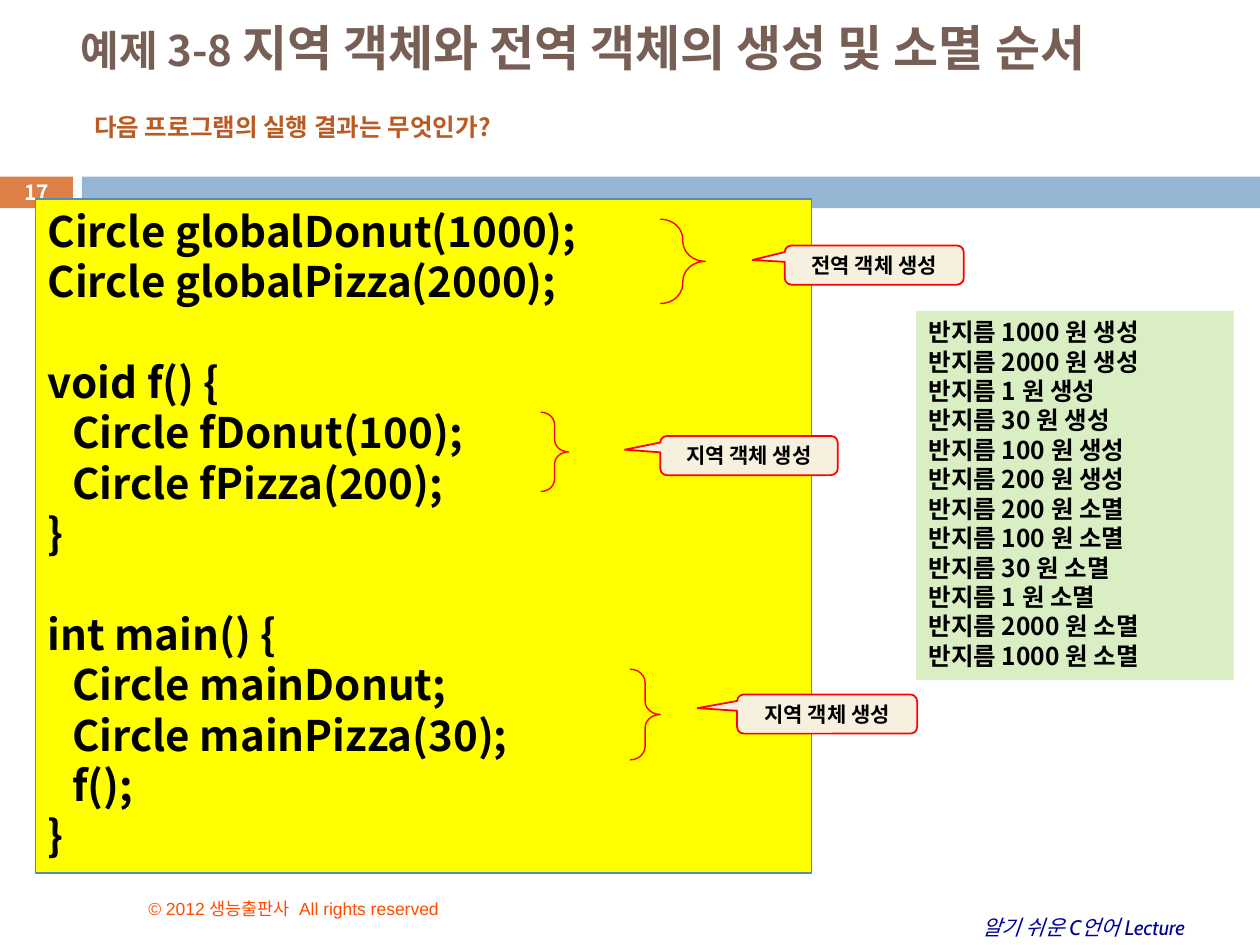
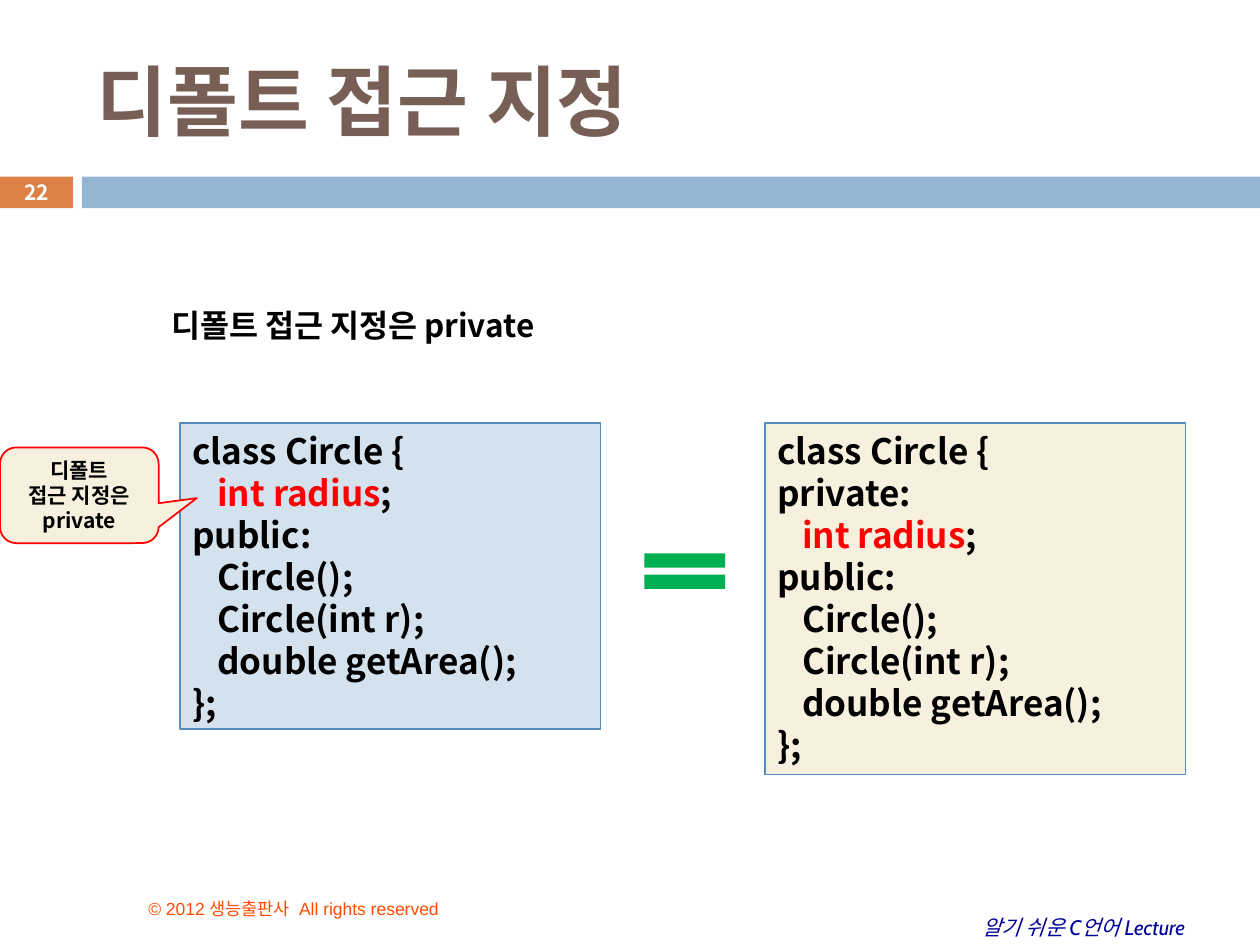
from dataclasses import dataclass

from lxml.etree import SubElement
from pptx import Presentation
from pptx.dml.color import RGBColor
from pptx.enum.shapes import MSO_SHAPE as Preset
from pptx.enum.text import MSO_ANCHOR as Anchor, MSO_AUTO_SIZE as AutoSize, PP_ALIGN as Align
from pptx.oxml.ns import qn
from pptx.util import Cm, Pt

# ---- Content (boxes are left, top, width, height in cm) ----
BOOK = "알기 쉬운 C언어 Lecture"
COPYRIGHT = "© 2012 생능출판사  All rights reserved"

ORDER = {
    "number": "17",
    "title": [("예제 3-8 ", 24), ("지역 객체와 전역 객체의 생성 및 소멸 순서", 28)],
    "title_box": (1.37, 0, 23.5, 1.88),
    "question": "다음 프로그램의 실행 결과는 무엇인가?",
    "code": [
        "Circle globalDonut(1000);",
        "Circle globalPizza(2000);",
        "",
        "void f() {",
        "\tCircle fDonut(100);",
        "\tCircle fPizza(200);",
        "}",
        "",
        "int main() {",
        "\tCircle mainDonut;",
        "\tCircle mainPizza(30);",
        "\tf();",
        "}",
    ],
    "radii": [1000, 2000, 1, 30, 100, 200],
    # label, callout box, callout tip, brace box
    "groups": [
        ("전역 객체 생성", (15.82, 4.95, 3.61, 0.79), (-0.68, -0.13), (13.31, 4.42, 0.91, 1.7)),
        ("지역 객체 생성", (13.31, 8.79, 3.58, 0.79), (-0.7, -0.15), (10.9, 8.31, 0.56, 1.6)),
        ("지역 객체 생성", (14.86, 14, 3.63, 0.79), (-0.72, -0.15), (12.7, 13.49, 0.61, 1.83)),
    ],
}

MEMBERS = ["\tint radius;", "public:", "\tCircle();", "\tCircle(int r);", "\tdouble getArea();", "};"]
ACCESS = {
    "number": "22",
    "title": [("디폴트 접근 지정", 44)],
    "title_box": (1.7, 0.64, 22.66, 2.74),
    "rule": "디폴트 접근 지정은 private",
    "callout": ["디폴트", "접근 지정은 private"],
    "highlight": "int radius",
    "implicit": ["class Circle {", *MEMBERS],
    "explicit": ["class Circle {", "private:", *MEMBERS],
}


@dataclass(frozen=True)
class Theme:
    sans: str = "Noto Sans CJK KR"
    title: str = "775F55"
    orange: str = "DD8047"
    blue: str = "94B6D2"
    pale_blue: str = "D4E2ED"
    outline: str = "558BB8"
    cream: str = "F7F0DE"
    yellow: str = "FFFF00"
    mint: str = "DAEEC4"
    green: str = "00B050"
    red: str = "FF0000"
    white: str = "FFFFFF"
    leading: float = 1.2
    indent: float = 0.5


THEME = Theme()


def style(size, color="000000", name=THEME.sans, bold=True, italic=False):
    return {"size": Pt(size), "name": name, "bold": bold, "italic": italic, "color": color}


STYLES = {
    "book": style(12, "000099", "Cabin", bold=False, italic=True),
    "copyright": style(10, "FF4C00", "Arial", bold=False),
    "number": style(12, THEME.white),
    "question": style(14, "B95B22"),
    "results": style(14),
    "label": style(12),
    "rule": style(18),
    "long code": style(24),
    "class code": style(20),
}


def place(shape, box):
    for side, length in zip(("left", "top", "width", "height"), box):
        setattr(shape, side, Cm(length))


def add_run(paragraph, words, look):
    run = paragraph.add_run()
    run.text = words
    for key, value in look.items():
        if key == "color":
            run.font.color.rgb = RGBColor.from_string(value)
        else:
            setattr(run.font, key, value)
    SubElement(run.font._element, qn("a:ea"), typeface=look["name"])


def add_indent_stop(paragraph):
    stops = SubElement(paragraph._p.get_or_add_pPr(), qn("a:tabLst"))
    SubElement(stops, qn("a:tab"), pos=str(Cm(THEME.indent)), algn="l")


def write(shape, lines, look, anchor=Anchor.TOP, align=Align.LEFT, wrap=True, highlight=None):
    """Write one paragraph per line; an empty line becomes space before the next."""
    frame = shape.text_frame
    for key, value in {"word_wrap": wrap, "vertical_anchor": anchor,
                       "auto_size": AutoSize.NONE}.items():
        setattr(frame, key, value)
    leading = Pt(look["size"].pt * THEME.leading)
    gap = False
    for index, line in enumerate(lines):
        if not line:
            gap = True
            continue
        paragraph = frame.add_paragraph() if index else frame.paragraphs[0]
        if "\t" in line:
            add_indent_stop(paragraph)
        paragraph.alignment = align
        if len(lines) > 1:
            paragraph.line_spacing = leading
        if gap:
            paragraph.space_before = leading
            gap = False
        if highlight and highlight in line:
            before, after = line.split(highlight)
            add_run(paragraph, before, look)
            add_run(paragraph, highlight, {**look, "color": THEME.red})
            add_run(paragraph, after, look)
        else:
            add_run(paragraph, line, look)


def add_text(slide, box, words, look, **layout):
    shape = slide.shapes.add_textbox(*map(Cm, box))
    write(shape, [words], look, **layout)
    return shape


def add_figure(slide, preset, box, fill=None, outline=None, weight=0.75, adjust=()):
    shape = slide.shapes.add_shape(preset, *map(Cm, box))
    shape.shadow.inherit = False
    if fill:
        shape.fill.solid()
        shape.fill.fore_color.rgb = RGBColor.from_string(fill)
    else:
        shape.fill.background()
    if outline:
        shape.line.color.rgb = RGBColor.from_string(outline)
        shape.line.width = Pt(weight)
    else:
        shape.line.fill.background()
    for index, value in enumerate(adjust):
        shape.adjustments[index] = value
    return shape


def add_panel(slide, box, lines, look, fill, outline=None, highlight=None):
    panel = add_figure(slide, Preset.RECTANGLE, box, fill, outline)
    write(panel, lines, look, highlight=highlight)


def add_callout(slide, box, lines, tip):
    callout = add_figure(slide, Preset.ROUNDED_RECTANGULAR_CALLOUT, box, THEME.cream,
                         THEME.red, weight=1, adjust=(*tip, 0.17))
    write(callout, lines, STYLES["label"], anchor=Anchor.MIDDLE, align=Align.CENTER)


def move_frame_to_layout(slide, layout):
    """Build the bands and footers, then hand them to the layout all slides use."""
    frame = [
        add_figure(slide, Preset.RECTANGLE, (0, 3.56, 1.47, 0.64), THEME.orange),
        add_figure(slide, Preset.RECTANGLE, (1.65, 3.56, 23.75, 0.64), THEME.blue),
        add_text(slide, (19.56, 18.31, 5.54, 0.76), BOOK, STYLES["book"], wrap=False),
        add_text(slide, (2.74, 17.58, 9.73, 1.07), COPYRIGHT, STYLES["copyright"],
                 anchor=Anchor.BOTTOM),
    ]
    for number, part in enumerate(frame, 100):
        part.element.nvSpPr.cNvPr.id = number
        layout.shapes.element.append(part.element)


def start_slide(prs, layout, content):
    slide = prs.slides.add_slide(layout)
    title = slide.shapes.title
    place(title, content["title_box"])
    write(title, [""], style(24), anchor=Anchor.MIDDLE)
    heading = title.text_frame.paragraphs[0]
    heading.alignment = Align.LEFT
    for words, size in content["title"]:
        add_run(heading, words, style(size, THEME.title))
    add_text(slide, (0, 3.53, 1.47, 0.69), content["number"], STYLES["number"],
             anchor=Anchor.MIDDLE, align=Align.CENTER)
    return slide


def fill_order_slide(slide):
    add_panel(slide, (0.71, 4.01, 15.65, 13.59), ORDER["code"], STYLES["long code"],
              THEME.yellow, THEME.outline)
    radii = ORDER["radii"]
    results = [f"반지름 {radius} 원 생성" for radius in radii]
    results += [f"반지름 {radius} 원 소멸" for radius in reversed(radii)]
    add_panel(slide, (18.47, 6.27, 6.4, 7.44), results, STYLES["results"], THEME.mint)
    for label, callout_box, tip, brace_box in ORDER["groups"]:
        add_callout(slide, callout_box, [label], tip)
        add_figure(slide, Preset.RIGHT_BRACE, brace_box, outline=THEME.red, weight=0.8,
                   adjust=(0.44, 0.5))
    add_text(slide, (1.65, 2.13, 11.05, 0.86), ORDER["question"], STYLES["question"])


def fill_access_slide(slide):
    classes = [
        ((3.63, 8.53, 8.48, 6.17), ACCESS["implicit"], THEME.pale_blue),
        ((15.42, 8.53, 8.48, 7.09), ACCESS["explicit"], THEME.cream),
    ]
    for box, code, fill in classes:
        add_panel(slide, box, code, STYLES["class code"], fill, THEME.outline,
                  ACCESS["highlight"])
    add_callout(slide, (0, 9.02, 3.2, 1.93), ACCESS["callout"], (0.74, 0.03))
    add_text(slide, (3.2, 6.05, 8.48, 1.02), ACCESS["rule"], STYLES["rule"], wrap=False)
    add_figure(slide, Preset.MATH_EQUAL, (12.7, 10.92, 2.21, 1.19), THEME.green,
               adjust=(0.24, 0.12))


def main():
    prs = Presentation()
    prs.slide_width, prs.slide_height = Cm(25.4), Cm(19.05)
    layout = prs.slide_layouts.get_by_name("Title Only")
    order_slide = start_slide(prs, layout, ORDER)
    move_frame_to_layout(order_slide, layout)
    fill_order_slide(order_slide)
    fill_access_slide(start_slide(prs, layout, ACCESS))
    prs.save("out.pptx")


if __name__ == "__main__":
    main()
